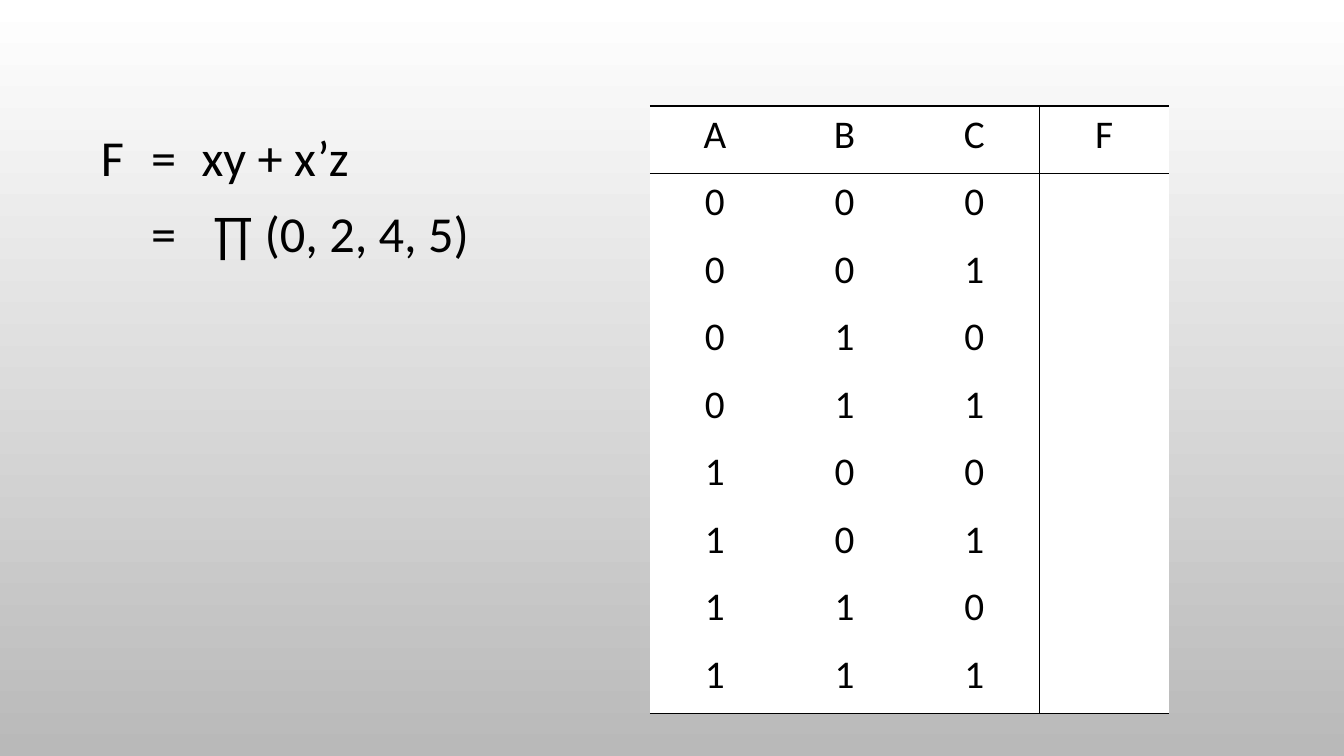
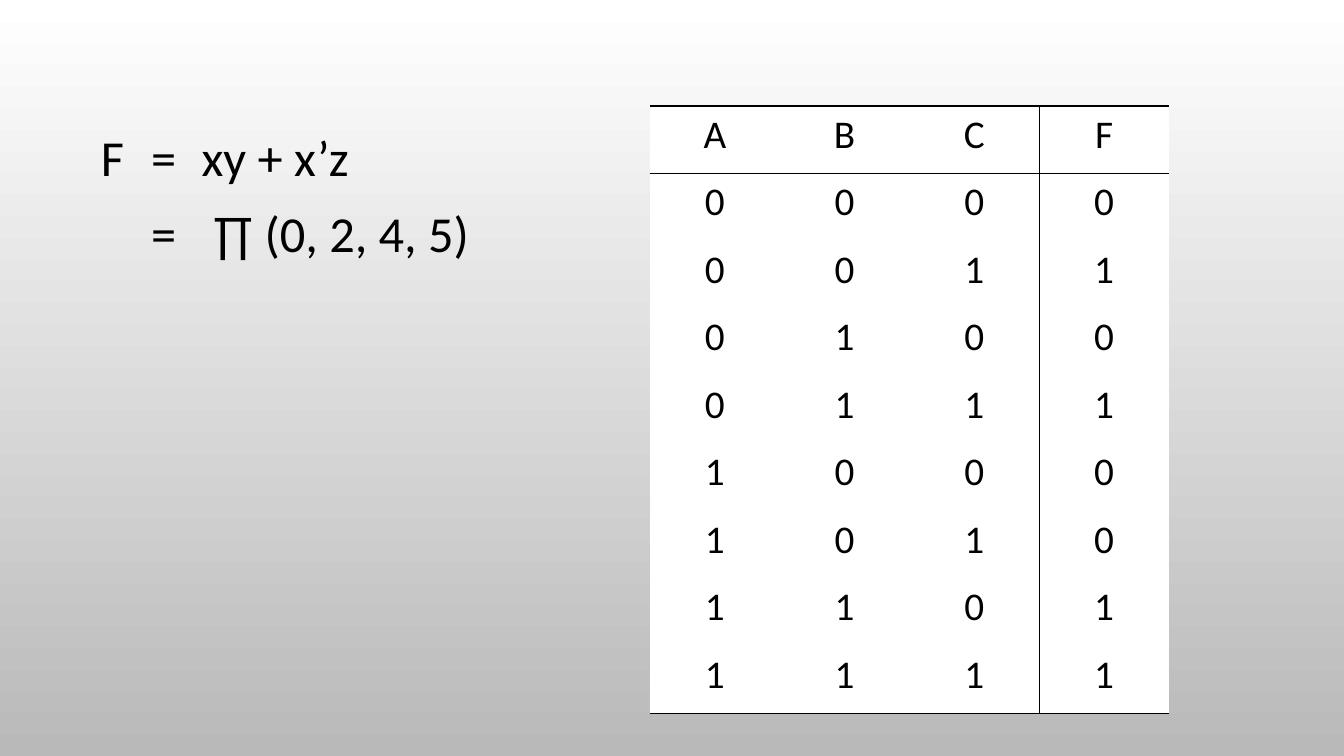
"""Two slides on a Boolean function: its truth table left open, then filled in."""
from dataclasses import dataclass
from itertools import product

from lxml import etree
from pptx import Presentation
from pptx import util as u
from pptx.dml.color import RGBColor
from pptx.enum import text
from pptx.oxml import ns

BLACK = RGBColor(0x00, 0x00, 0x00)
WHITE = RGBColor(0xFF, 0xFF, 0xFF)
GREY = RGBColor(0xB9, 0xB9, 0xB9)

FORMULA_FONT = {"name": "Calibri", "size": u.Pt(36)}
CELL_FONT = {"name": "Calibri", "size": u.Pt(28)}
TOP = u.Cm(2.67)
TAB = u.Cm(1.27)
COL_W = u.Cm(3.27)
ROW_H = u.Cm(1.7)
RULE_W = u.Pt(1)

FORMULA = ("F\t=\txy + x’z", "\t=\t ∏ (0, 2, 4, 5)")
HEADS = ("A", "B", "C", "F")


@dataclass(frozen=True)
class TruthSlide:
    solved: bool


SLIDES = (TruthSlide(solved=False), TruthSlide(solved=True))


def set_attrs(obj, values: dict) -> None:
    for name, value in values.items():
        setattr(obj, name, value)


def style_run(r, font: dict) -> None:
    set_attrs(r.font, font)
    r.font.color.rgb = BLACK


def set_background(master) -> None:
    fill = master.background.fill
    fill.gradient()
    fill.gradient_angle = 270
    for stop, colour in zip(fill.gradient_stops, (WHITE, GREY)):
        stop.color.rgb = colour


def add_tabs(p, count: int) -> None:
    tabs = etree.SubElement(p._p.get_or_add_pPr(), ns.qn("a:tabLst"))
    for i in range(1, count + 1):
        etree.SubElement(tabs, ns.qn("a:tab"), pos=str(TAB * i), algn="l")


def add_formula(s) -> None:
    sp = s.shapes.add_textbox(u.Cm(1.02), TOP, u.Cm(32.03), u.Cm(7.95))
    tf = sp.text_frame
    set_attrs(tf, {"word_wrap": True, "margin_left": u.Cm(1.52),
                   "vertical_anchor": text.MSO_ANCHOR.TOP})
    for i, line in enumerate(FORMULA):
        p = tf.paragraphs[0] if i == 0 else tf.add_paragraph()
        p.line_spacing = 1.25
        add_tabs(p, 2)
        r = p.add_run()
        r.text = line
        style_run(r, FORMULA_FONT)


def set_borders(cell, sides: str) -> None:
    tc_pr = cell._tc.get_or_add_tcPr()
    for side in "LRTB":
        ln = etree.SubElement(tc_pr, ns.qn(f"a:ln{side}"), w=str(RULE_W))
        if side in sides:
            fill = etree.SubElement(ln, ns.qn("a:solidFill"))
            etree.SubElement(fill, ns.qn("a:srgbClr"), val=str(BLACK))
        else:
            etree.SubElement(ln, ns.qn("a:noFill"))


def border_sides(row: int, col: int, last_row: int, last_col: int) -> str:
    rules = {"T": row <= 1, "B": row in (0, last_row),
             "L": col == last_col, "R": col == last_col - 1}
    return "".join(side for side, drawn in rules.items() if drawn)


def truth_rows(solved: bool) -> list[tuple[str, ...]]:
    rows = [HEADS]
    for x, y, z in product((0, 1), repeat=3):
        f = str(y if x else z) if solved else ""
        rows.append((str(x), str(y), str(z), f))
    return rows


def add_truth_table(s, rows: list[tuple[str, ...]]) -> None:
    n_rows, n_cols = len(rows), len(HEADS)
    table = s.shapes.add_table(n_rows, n_cols, u.Cm(16.38), TOP,
                               COL_W * n_cols, ROW_H * n_rows).table
    set_attrs(table, {"first_row": False, "horz_banding": False})
    for column in table.columns:
        column.width = COL_W
    for i, values in enumerate(rows):
        table.rows[i].height = ROW_H
        for j, value in enumerate(values):
            cell = table.cell(i, j)
            set_borders(cell, border_sides(i, j, n_rows - 1, n_cols - 1))
            cell.fill.solid()
            cell.fill.fore_color.rgb = WHITE
            if value:
                p = cell.text_frame.paragraphs[0]
                p.alignment = text.PP_ALIGN.CENTER
                r = p.add_run()
                r.text = value
                style_run(r, CELL_FONT)


def main() -> None:
    prs = Presentation()
    set_attrs(prs, {"slide_width": u.Cm(33.87), "slide_height": u.Cm(19.05)})
    set_background(prs.slide_master)
    for spec_slide in SLIDES:
        s = prs.slides.add_slide(prs.slide_layouts[6])
        add_formula(s)
        add_truth_table(s, truth_rows(spec_slide.solved))
    prs.save("out.pptx")


if __name__ == "__main__":
    main()
